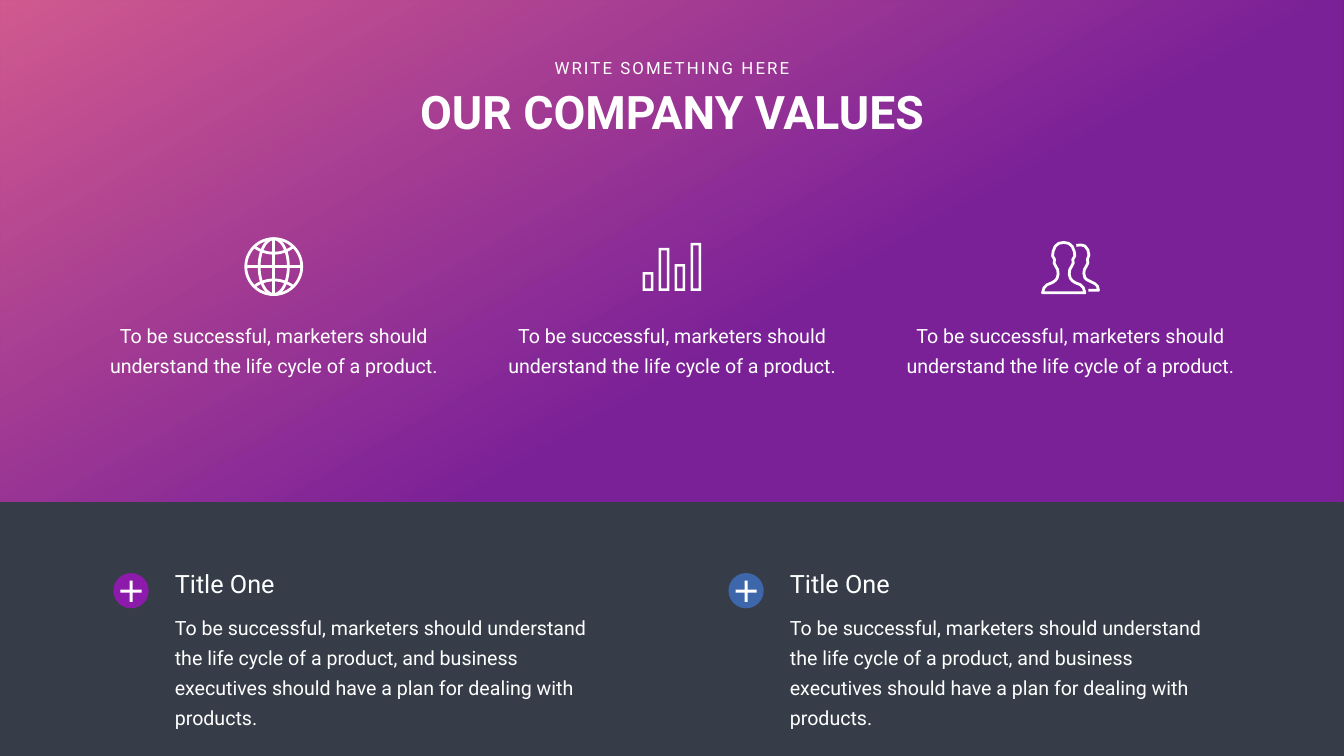
from math import cos, sin, radians
from lxml import etree
from pptx import Presentation
from pptx.dml.color import RGBColor as Rgb
from pptx.enum.shapes import MSO_CONNECTOR as Conn, MSO_SHAPE as Kind
from pptx.enum.text import MSO_AUTO_SIZE as Auto, PP_ALIGN as Align
from pptx.oxml.ns import qn
from pptx.util import Inches, Pt

HUES = {"white": "FFFFFF", "dark": "363D48", "pink": "F761A0",
        "plum": "8C1BAB", "blue": "3D67AA"}
TEXT = {
    "head": {"size": Pt(66), "bold": True},
    "kick": {"size": Pt(24)},
    "name": {"size": Pt(36)},
    "body": {"size": Pt(28)},
}
LEAD = Pt(43)
PEN = Pt(4)


def hue(name):
    return Rgb.from_string(HUES[name])


class Deck:
    """Holds the style and the current slide."""

    def __init__(self, wide, high):
        self.prs = Presentation()
        self.prs.slide_width, self.prs.slide_height = Inches(wide), Inches(high)
        self.slide = self.prs.slides.add_slide(self.prs.slide_layouts[6])
        self.items = self.slide.shapes
        fill = self.slide.background.fill
        fill.solid()
        fill.fore_color.rgb = hue("dark")

    def shape(self, kind, box, fill=None, line=None):
        item = self.items.add_shape(kind, *map(Inches, box))
        self.paint(item, fill, line)
        return item

    def paint(self, item, fill=None, line=None):
        item.shadow.inherit = False
        if fill:
            item.fill.solid()
            item.fill.fore_color.rgb = hue(fill)
        else:
            item.fill.background()
        if line:
            item.line.color.rgb = hue(line)
            item.line.width = PEN
        else:
            item.line.fill.background()

    def blend(self, box, stops, angle, alpha):
        item = self.shape(Kind.RECTANGLE, box)
        item.fill.gradient()
        item.fill.gradient_angle = angle
        for stop, (place, name) in zip(item.fill.gradient_stops, stops):
            stop.position = place
            stop.color.rgb = hue(name)
        for tag in item.element.iter(qn("a:srgbClr")):
            etree.SubElement(tag, qn("a:alpha"), val=str(alpha * 1000))

    def curve(self, *rings, close=False, fill=None, line="white"):
        rings = [[(Inches(x), Inches(y)) for x, y in ring] for ring in rings]
        path = self.items.build_freeform(*rings[0][0])
        for i, ring in enumerate(rings):
            if i:
                path.move_to(*ring[0])
            path.add_line_segments(ring[1:], close=close)
        self.paint(path.convert_to_shape(), fill, line)

    def line(self, *ends):
        item = self.items.add_connector(Conn.STRAIGHT, *map(Inches, ends))
        item.line.color.rgb = hue("white")
        item.line.width = PEN
        etree.SubElement(item.element.spPr, qn("a:effectLst"))

    def text(self, box, words, style, align=Align.LEFT, lead=None, wrap=True, gap=0):
        frame = self.items.add_textbox(*map(Inches, box)).text_frame
        frame.word_wrap = wrap
        frame.auto_size = Auto.SHAPE_TO_FIT_TEXT
        para = frame.paragraphs[0]
        para.alignment = align
        if lead:
            para.line_spacing = lead
        run = para.add_run()
        run.text = words
        for key, val in {"name": "Roboto", **TEXT[style]}.items():
            setattr(run.font, key, val)
        run.font.color.rgb = hue("white")
        if gap:
            run.font._element.set("spc", str(gap * 100))


def globe(deck, x, y):
    r = 0.555
    for w in (r, 0.29):
        deck.shape(Kind.OVAL, (x - w, y - r, 2 * w, 2 * r), line="white")
    deck.line(x - r, y, x + r, y)
    deck.line(x, y - r, x, y + r)
    # Upper and lower parallels
    for side in (-1, 1):
        deck.curve([(x + 0.64 * sin(radians(a)),
                     y + side * (0.905 - 0.64 * cos(radians(a))))
                    for a in range(-36, 37, 6)])


def bars(deck, x, y):
    wide, rim = 0.21, 0.05
    step = (1.16 - wide) / 3
    rings = []
    # Each bar is an outer ring with an inner one cut out
    for i, high in enumerate((0.37, 0.85, 0.53, 0.95)):
        for pad in (0, rim):
            left, right = x + step * i + pad, x + step * i + wide - pad
            top, foot = y - high + pad, y - pad
            ring = [(left, top), (right, top), (right, foot), (left, foot)]
            rings.append(ring[::-1] if pad else ring)
    deck.curve(*rings, close=True, fill="white", line=None)


def people(deck, x, y):
    # Right half of the front figure, mirrored for the left half
    half = [(0, 0), (0.1, 0.02), (0.17, 0.08), (0.21, 0.18), (0.22, 0.27),
            (0.18, 0.34), (0.19, 0.41), (0.16, 0.47), (0.12, 0.54),
            (0.11, 0.63), (0.13, 0.71), (0.17, 0.76), (0.23, 0.8),
            (0.33, 0.84), (0.39, 0.9), (0.42, 1)]
    front = half + [(-dx, dy) for dx, dy in reversed(half[1:])]
    back = [(0.25, 0.06), (0.34, 0.05), (0.42, 0.07), (0.48, 0.15),
            (0.5, 0.25), (0.47, 0.34), (0.48, 0.41), (0.45, 0.47),
            (0.41, 0.54), (0.4, 0.62), (0.42, 0.7), (0.46, 0.74),
            (0.52, 0.77), (0.62, 0.82), (0.67, 0.87), (0.69, 0.95), (0.49, 0.95)]
    for dots, close in ((front, True), (back, False)):
        deck.curve([(x + dx, y + dy) for dx, dy in dots], close=close)


def main():
    deck = Deck(26.66, 15)

    # Top panel and heading
    deck.blend((0, 0, 26.66, 9.96), [(0, "pink"), (0.6, "plum")], 300, 80)
    deck.text((7.61, 1.61, 11.44, 1.21), "OUR COMPANY VALUES", "head", Align.CENTER)
    deck.text((10.83, 1.1, 5, 0.5), "WRITE SOMETHING HERE", "kick", Align.CENTER,
              wrap=False, gap=3)

    # Three values
    globe(deck, 5.43, 5.29)
    bars(deck, 12.75, 5.77)
    people(deck, 21.1, 4.81)
    value = "To be successful, marketers should understand the life cycle of a product."
    for i in range(3):
        deck.text((1.87 + 7.9 * i, 6.25, 7.12, 1.25), value, "body", Align.CENTER, LEAD)

    # Two points with plus badges
    note = ("To be successful, marketers should understand the life cycle of a product, "
            "and business executives should have a plan for dealing with products.")
    for x, fill in ((2.25, "plum"), (14.45, "blue")):
        deck.shape(Kind.OVAL, (x, 11.37, 0.7, 0.7), fill)
        for turn in (0, 90):
            bar = deck.shape(Kind.RECTANGLE, (x + 0.32, 11.52, 0.06, 0.42), "white")
            bar.rotation = turn
        deck.text((x + 1.12, 12.04, 8.84, 1.86), note, "body", lead=LEAD)
        deck.text((x + 1.12, 11.23, 4.19, 0.71), "Title One", "name")

    deck.prs.save("out.pptx")


if __name__ == "__main__":
    main()
